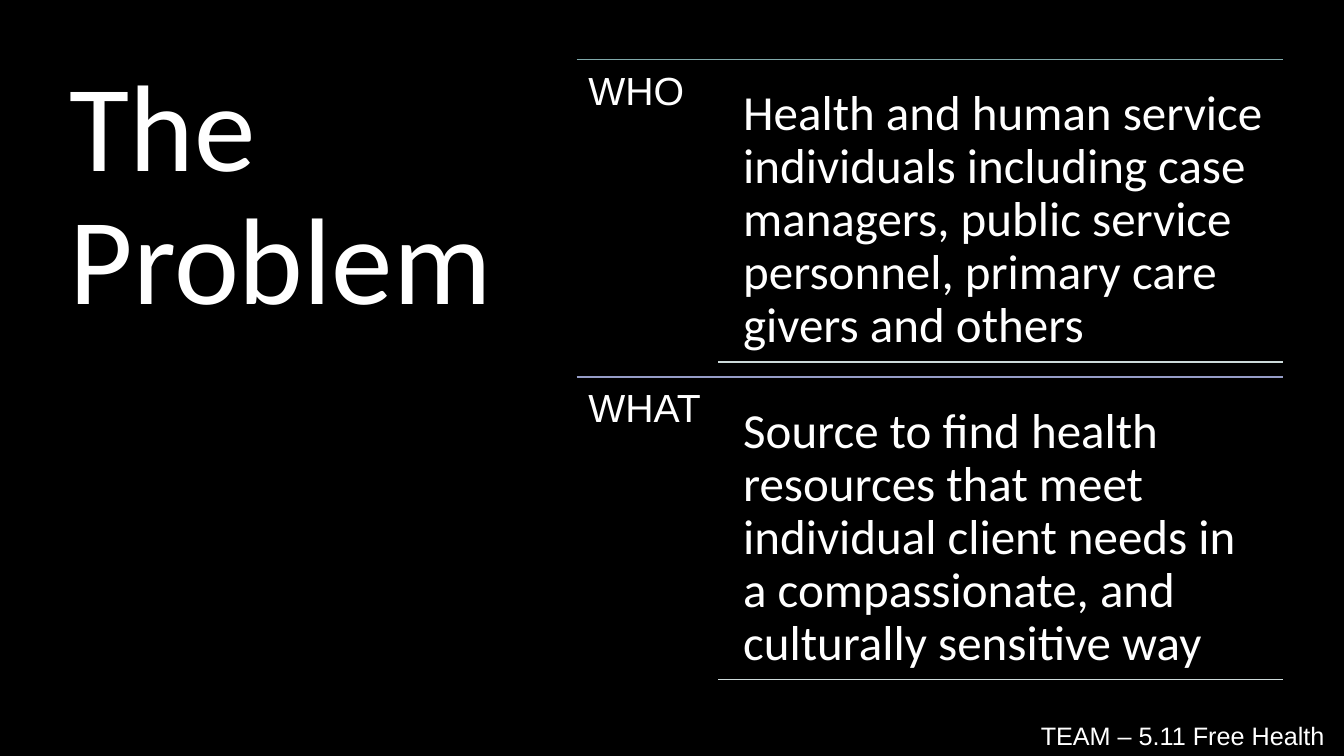
from dataclasses import dataclass

import pptx
import pptx.dml.color
import pptx.enum.shapes
import pptx.enum.text
import pptx.oxml
import pptx.oxml.ns
import pptx.util
from pptx.util import Cm

COLORS = {
    "background": "000000",
    "text": "FFFFFF",
    "teal": "80A9AA",
    "violet": "969DC7",
    "pale": "CDDADA",
}
LEFT, RIGHT = 14.53, 32.33
TOP, ROW_HEIGHT = 1.5, 8


@dataclass
class Row:
    label: str
    description: str
    color: str


ROWS = [
    Row("WHO", "Health and human service individuals including case managers, "
        "public service personnel, primary care givers and others", "teal"),
    Row("WHAT", "Source to find health resources that meet individual client "
        "needs in a compassionate, and culturally sensitive way", "violet"),
]


def rgb(name: str) -> pptx.dml.color.RGBColor:
    return pptx.dml.color.RGBColor.from_string(COLORS[name])


def set_text(sp, text: str, size: float, font: str, wrap: bool = True,
             spacing: float = 0.9, inset: float | None = None) -> None:
    tf = sp.text_frame
    tf.text = text
    tf.word_wrap = wrap
    tf.auto_size = pptx.enum.text.MSO_AUTO_SIZE.NONE
    tf.vertical_anchor = pptx.enum.text.MSO_ANCHOR.TOP
    if inset is not None:
        tf.margin_left = tf.margin_right = Cm(inset)
        tf.margin_top = tf.margin_bottom = Cm(inset)
    p = tf.paragraphs[0]
    p.alignment = pptx.enum.text.PP_ALIGN.LEFT
    p.line_spacing = spacing
    r = p.runs[0]
    r.font.size = pptx.util.Pt(size)
    r.font.name = font
    r.font.color.rgb = rgb("text")


def add_rule(s, left: float, y: float, color: str) -> None:
    line = s.shapes.add_connector(pptx.enum.shapes.MSO_CONNECTOR.STRAIGHT,
                                  Cm(left), Cm(y), Cm(RIGHT), Cm(y))
    line.line.color.rgb = rgb(color)
    line.line.width = pptx.util.Pt(1)
    sp_pr = line._element.spPr
    sp_pr.append(pptx.oxml.parse_xml(
        f'<a:effectLst {pptx.oxml.ns.nsdecls("a")}/>'))


def add_row(s, row: Row, top: float) -> None:
    add_rule(s, LEFT, top, row.color)
    label = s.shapes.add_textbox(Cm(LEFT), Cm(top), Cm(3.56), Cm(ROW_HEIGHT))
    set_text(label, row.label, 28, "Arial", wrap=False, inset=0.3)
    description = s.shapes.add_textbox(Cm(18.35), Cm(top + 0.35),
                                       Cm(13.97), Cm(7.26))
    set_text(description, row.description, 35, "Calibri", inset=0.38)
    add_rule(s, 18.1, top + 7.62, "pale")


def main() -> None:
    prs = pptx.Presentation()
    prs.slide_width, prs.slide_height = Cm(33.87), Cm(19.05)
    s = prs.slides.add_slide(prs.slide_layouts[5])
    s.background.fill.solid()
    s.background.fill.fore_color.rgb = rgb("background")

    # Black panel, sent behind the title
    panel = s.shapes.add_shape(pptx.enum.shapes.MSO_SHAPE.RECTANGLE,
                               0, 0, prs.slide_width, prs.slide_height)
    panel.shadow.inherit = False
    panel.fill.solid()
    panel.fill.fore_color.rgb = rgb("background")
    panel.line.fill.background()
    title = s.shapes.title
    title._element.addprevious(panel._element)

    # Title
    title.left, title.top = Cm(1.5), Cm(TOP)
    title.width, title.height = Cm(12.5), Cm(16)
    set_text(title, "The Problem", 88, "Calibri")

    # Who and what
    for i, row in enumerate(ROWS):
        add_row(s, row, TOP + i * ROW_HEIGHT)

    # Team name
    team = s.shapes.add_textbox(Cm(25.98), Cm(18.02), Cm(7.95), Cm(1.02))
    set_text(team, "TEAM – 5.11 Free Health", 18, "Arial", wrap=False, spacing=1.0)

    prs.save("out.pptx")


if __name__ == "__main__":
    main()
